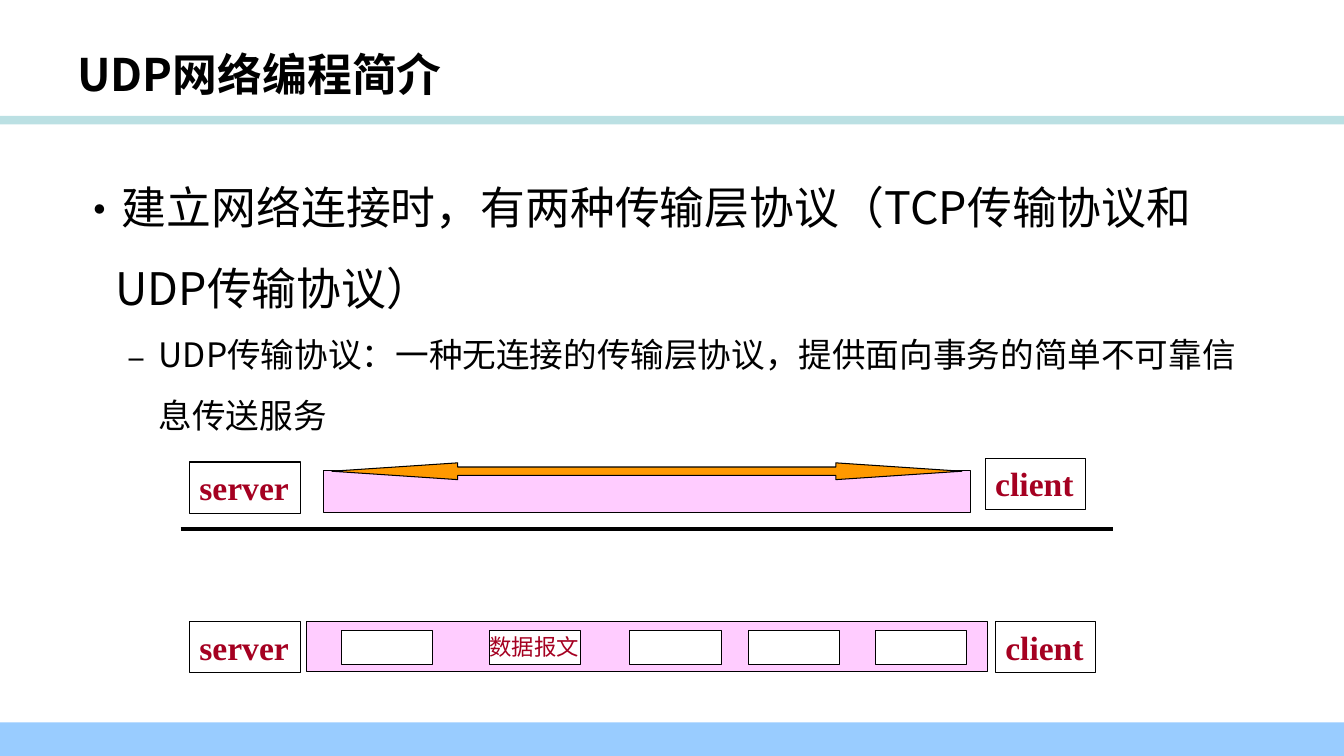
from dataclasses import dataclass

from lxml.etree import SubElement
from pptx import Presentation
from pptx.dml.color import RGBColor
from pptx.enum.shapes import MSO_CONNECTOR, MSO_SHAPE
from pptx.enum.text import MSO_ANCHOR, PP_ALIGN
from pptx.oxml.ns import qn
from pptx.util import Inches, Pt


@dataclass(frozen=True)
class Theme:
    ink: str = "000000"
    paper: str = "FFFFFF"
    label: str = "A50021"
    channel: str = "FFCCFF"
    arrow: str = "FF9900"
    header: str = "BBE0E3"
    footer: str = "99CCFF"
    sans: str = "Noto Sans CJK SC"
    serif: str = "Times New Roman"
    heading: int = 32
    detail: int = 24
    small: int = 16
    outline: float = 0.75
    divider: int = 3


theme = Theme()
prs = Presentation()
prs.slide_width, prs.slide_height = Inches(13.33), Inches(7.5)
COLUMN = prs.slide_width / 160
ROW = prs.slide_height / 90
slide = prs.slides.add_slide(prs.slide_layouts[5])


def write(frame, text, size=theme.heading, font=theme.sans, color=theme.ink,
          bold=False, wrap=True, anchor=MSO_ANCHOR.TOP, bullet=None,
          indent=(0, 0), spacing=1.0, level=0):
    """Add one formatted paragraph, reusing the frame's first one if empty."""
    frame.word_wrap = wrap
    frame.vertical_anchor = anchor
    paragraph = frame.add_paragraph() if frame.text else frame.paragraphs[0]
    paragraph.alignment = PP_ALIGN.LEFT
    paragraph.level = level
    paragraph.line_spacing = spacing
    run = paragraph.add_run()
    run.text = text
    run.font.size, run.font.bold, run.font.name = Pt(size), bold, font
    run.font.color.rgb = RGBColor.from_string(color)
    SubElement(run.font._element, qn("a:ea")).set("typeface", theme.sans)
    if bullet:
        properties = paragraph._p.get_or_add_pPr()
        properties.set("marL", str(Inches(indent[0])))
        properties.set("indent", str(Inches(indent[1])))
        SubElement(properties, qn("a:buFont")).set("typeface", theme.sans)
        SubElement(properties, qn("a:buChar")).set("char", bullet)


def block(left, top, width, height, fill=None, outlined=True, kind=MSO_SHAPE.RECTANGLE):
    """Draw a preset shape measured in grid columns and rows."""
    shape = slide.shapes.add_shape(kind, round(left * COLUMN), round(top * ROW),
                                   round(width * COLUMN), round(height * ROW))
    shape.shadow.inherit = False
    if fill:
        shape.fill.solid()
        shape.fill.fore_color.rgb = RGBColor.from_string(fill)
    else:
        shape.fill.background()
    if outlined:
        shape.line.color.rgb = RGBColor.from_string(theme.ink)
        shape.line.width = Pt(theme.outline)
    else:
        shape.line.fill.background()
    return shape


# Page frame and heading
block(0, 13.8, 160, 1, theme.header, outlined=False)
block(0, 86, 160, 4, theme.footer, outlined=False)

heading = slide.shapes.title
heading.left, heading.top = round(8 * COLUMN), round(3.6 * ROW)
heading.width, heading.height = round(128 * COLUMN), round(10.4 * ROW)
write(heading.text_frame, "UDP网络编程简介", bold=True, anchor=MSO_ANCHOR.MIDDLE)

# Protocol description
description = slide.shapes.add_textbox(round(8 * COLUMN), round(17.6 * ROW),
                                       round(144 * COLUMN), round(59.4 * ROW)).text_frame
write(description, "建立网络连接时，有两种传输层协议（TCP传输协议和UDP传输协议）",
      bullet="•", indent=(0.38, -0.38), spacing=1.5)
write(description, "UDP传输协议：一种无连接的传输层协议，提供面向事务的简单不可靠信息传送服务",
      size=theme.detail, bullet="–", indent=(0.81, -0.31), spacing=1.5, level=1)

# Connection channel above, datagram channel below
block(38.5, 56, 77, 5, theme.channel)
block(36.5, 74, 81.1, 6, theme.channel)
for packet_left in (40.7, 58.25, 75, 89.15, 104.2):
    block(packet_left, 75.1, 10.85, 4, theme.paper)

stream = block(39.5, 55.1, 75, 2, theme.arrow, kind=MSO_SHAPE.LEFT_RIGHT_ARROW)
stream.adjustments[0], stream.adjustments[1] = 0.5, 7.5

for role, left, top, width, fill in (
    ("server", 22.55, 55, 13.2, theme.paper),
    ("client", 117.3, 54.55, 11.9, None),
    ("server", 22.55, 74, 13.2, theme.paper),
    ("client", 118.5, 74, 11.9, None),
):
    write(block(left, top, width, 6.1, fill).text_frame, role, size=theme.detail,
          font=theme.serif, color=theme.label, bold=True, wrap=False)

divider = slide.shapes.add_connector(MSO_CONNECTOR.STRAIGHT, round(21.5 * COLUMN), round(63 * ROW),
                                     round(132.5 * COLUMN), round(63 * ROW))
divider.line.color.rgb = RGBColor.from_string(theme.ink)
divider.line.width = Pt(theme.divider)
SubElement(divider._element.spPr, qn("a:effectLst"))

datagram = slide.shapes.add_textbox(round(57.1 * COLUMN), round(74.8 * ROW),
                                    round(13.2 * COLUMN), round(4.4 * ROW))
write(datagram.text_frame, "数据报文", size=theme.small, font=theme.serif,
      color=theme.label, wrap=False)

prs.save("out.pptx")
